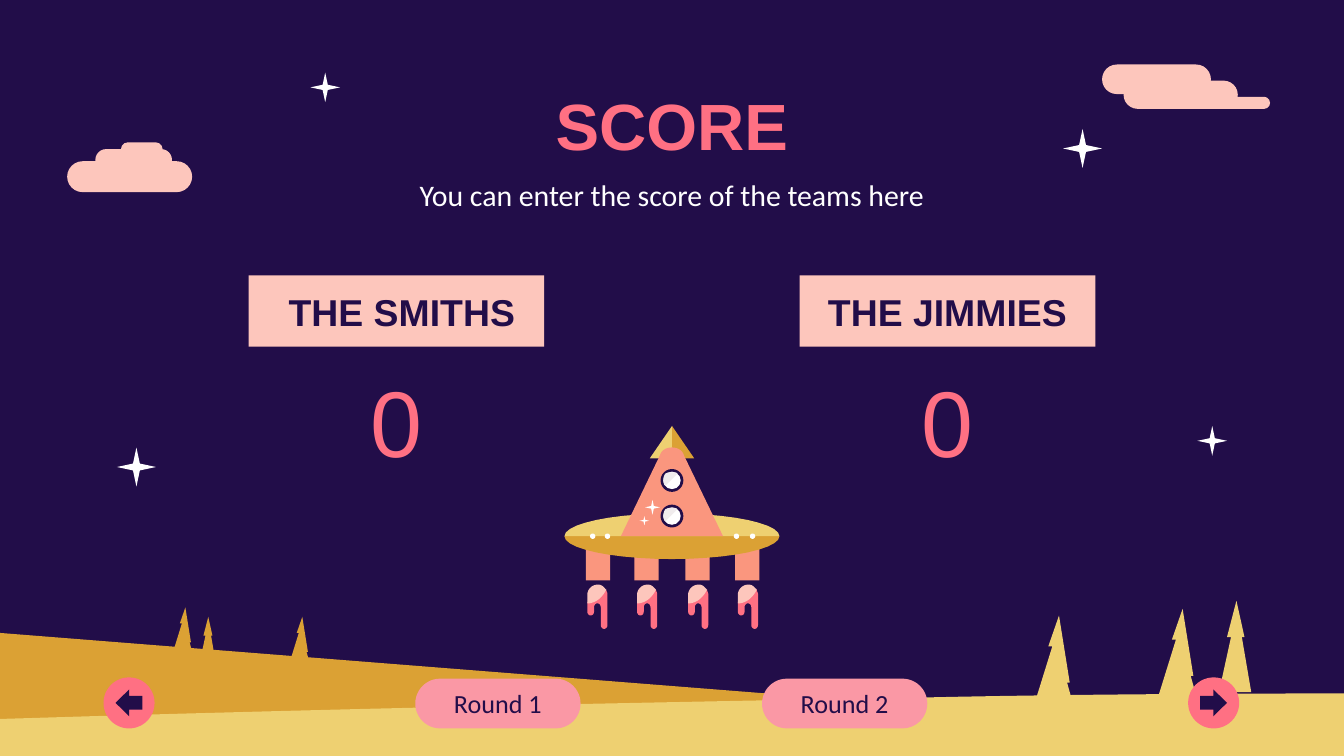
from dataclasses import dataclass

from pptx import Presentation
from pptx.dml.color import RGBColor
from pptx.enum.shapes import MSO_SHAPE
from pptx.enum.text import MSO_ANCHOR, MSO_AUTO_SIZE, PP_ALIGN
from pptx.util import Cm, Pt

RECT, OVAL, PILL = MSO_SHAPE.RECTANGLE, MSO_SHAPE.OVAL, MSO_SHAPE.ROUNDED_RECTANGLE
STAR = MSO_SHAPE.STAR_4_POINT
LEFT, RIGHT = MSO_SHAPE.LEFT_ARROW, MSO_SHAPE.RIGHT_ARROW
MIDDLE, CENTER = MSO_ANCHOR.MIDDLE, PP_ALIGN.CENTER

NIGHT, GOLD, SAND = "220D49", "DBA134", "EED071"
CORAL, PINK, PEACH, SALMON = "FF7083", "FA98A5", "FDC6BC", "FA967E"
WHITE, GLARE = "FFFFFF", "F0ECED"
W, H = 10, 5.625
CURVE_STEPS = 10


@dataclass
class Tree:
    x: float  # tip of the tree
    y: float
    outline: list
    scale: float
    color: str


@dataclass
class Team:
    name: str
    score: str
    x: float
    inset: float


def inch(v: float) -> int:
    return Cm(v * 2.54)


def rgb(color: str) -> RGBColor:
    return RGBColor.from_string(color)


def paint(sp, color: str):
    sp.fill.solid()
    sp.fill.fore_color.rgb = rgb(color)
    sp.line.fill.background()
    sp.shadow.inherit = False
    return sp


def add_shape(shapes, kind, x: float, y: float, w: float, h: float, color: str, adj=()):
    sp = paint(shapes.add_shape(kind, inch(x), inch(y), inch(w), inch(h)), color)
    for i, value in enumerate(adj):
        sp.adjustments[i] = value
    return sp


def add_outline(shapes, points: list, color: str, dx: float = 0, dy: float = 0,
                scale: float = 1):
    """Closed outline; a point of six numbers is a cubic curve."""
    line = [points[0]]
    for p in points[1:]:
        if len(p) == 2:
            line.append(p)
            continue
        x0, y0 = line[-1]
        x1, y1, x2, y2, x3, y3 = p
        for i in range(1, CURVE_STEPS + 1):
            t = i / CURVE_STEPS
            a, b, c, d = (1 - t) ** 3, 3 * t * (1 - t) ** 2, 3 * t * t * (1 - t), t ** 3
            line.append((a * x0 + b * x1 + c * x2 + d * x3,
                         a * y0 + b * y1 + c * y2 + d * y3))
    emu = [(inch(dx + x * scale), inch(dy + y * scale)) for x, y in line]
    builder = shapes.build_freeform(*emu[0], scale=1.0)
    builder.add_line_segments(emu[1:], close=True)
    return paint(builder.convert_to_shape(), color)


def set_text(sp, text: str, size: float, font: str, color: str, bold: bool = False,
             left_inset: float = 0.1) -> None:
    tf = sp.text_frame
    tf.text = text
    tf.word_wrap = True
    tf.auto_size = MSO_AUTO_SIZE.NONE
    tf.vertical_anchor = MIDDLE
    tf.margin_left = inch(left_inset)
    tf.margin_right = tf.margin_top = tf.margin_bottom = inch(0.1)
    p = tf.paragraphs[0]
    p.alignment = CENTER
    r = p.runs[0]
    r.font.size, r.font.name, r.font.bold = Pt(size), font, bold
    r.font.color.rgb = rgb(color)


def add_text(shapes, x: float, y: float, w: float, h: float, *style) -> None:
    set_text(shapes.add_textbox(inch(x), inch(y), inch(w), inch(h)), *style)


def add_ship(shapes) -> None:
    # Legs and flames
    for x in (4.36, 4.72, 5.1, 5.47):
        add_shape(shapes, RECT, x, 3.99, 0.18, 0.33, SALMON)
    flame = [(0.14, 0.03), (0.11, 0.09, 0.06, 0.13, 0, 0.13), (0, 0.2),
             (0, 0.24, 0.05, 0.24, 0.05, 0.2), (0.05, 0.17),
             (0.05, 0.13, 0.1, 0.13, 0.1, 0.17), (0.1, 0.3),
             (0.1, 0.34, 0.15, 0.34, 0.15, 0.3), (0.15, 0.07),
             (0.15, 0.06, 0.14, 0.05, 0.14, 0.03)]
    glow = [(0.08, 0), (0.04, 0, 0, 0.03, 0, 0.08), (0, 0.14),
            (0.06, 0.14, 0.11, 0.1, 0.14, 0.04), (0.12, 0.01, 0.1, 0, 0.08, 0)]
    for x in (4.37, 4.74, 5.12, 5.49):
        add_outline(shapes, flame, CORAL, x, 4.35)
        add_outline(shapes, glow, PEACH, x, 4.35)

    # Nose, saucer and cabin
    for side, color in ((-1, SAND), (1, GOLD)):
        add_outline(shapes, [(5, 3.17), (5 + side * 0.165, 3.41), (5, 3.41)], color)
    for bulge, color in ((0.17, GOLD), (-0.17, SAND)):
        add_outline(shapes, [(-0.8, 0), (-0.8, bulge * 0.55, -0.44, bulge, 0, bulge),
                             (0.44, bulge, 0.8, bulge * 0.55, 0.8, 0)], color, 5, 3.99)
    add_outline(shapes, [(5, 3.33), (4.96, 3.33, 4.92, 3.35, 4.91, 3.39), (4.62, 3.99),
                         (5.38, 3.99), (5.09, 3.39), (5.08, 3.35, 5.04, 3.33, 5, 3.33)],
                SALMON)

    # Lights, windows and sparkles
    for x in (4.39, 4.5, 5.46, 5.58):
        add_shape(shapes, OVAL, x, 3.97, 0.04, 0.04, WHITE)
    glare = [(0, -0.06), (-0.02, -0.06, -0.03, -0.06, -0.05, -0.05),
             (-0.07, -0.02, -0.07, 0.02, -0.05, 0.04), (0.04, -0.05),
             (0.03, -0.06, 0.02, -0.06, 0, -0.06)]
    for y in (3.84, 3.575):
        for size, color in ((0.17, NIGHT), (0.13, WHITE)):
            add_shape(shapes, OVAL, 5 - size / 2, y - size / 2, size, size, color)
        add_outline(shapes, glare, GLARE, 5, y)
    for x, y, size in ((4.8, 3.72, 0.11), (4.76, 3.84, 0.07)):
        add_shape(shapes, STAR, x, y, size, size, WHITE, [0.125])


def main() -> None:
    prs = Presentation()
    prs.slide_width, prs.slide_height = inch(W), inch(H)
    s = prs.slides.add_slide(prs.slide_layouts[5])
    s.background.fill.solid()
    s.background.fill.fore_color.rgb = rgb(NIGHT)
    shapes = s.shapes

    # Hills
    add_outline(shapes, [(0, 4.71), (W, 5.5), (W, H), (0, H)], GOLD)
    add_outline(shapes, [(W, 5.16), (8.83, 5.16, 7.8, 5.17, 6.87, 5.19),
                         (4.55, 5.23, 2.25, 5.28, 0, 5.35), (0, H), (W, H)], SAND)

    # Trees, drawn from the tip
    wide = [(0, 0), (0.08, 0.5), (0.06, 0.5), (0.11, 0.68), (-0.19, 0.68),
            (-0.05, 0.23), (-0.08, 0.23)]
    narrow = [(0, 0), (0.06, 0.27), (0.04, 0.27), (0.11, 0.68), (-0.13, 0.68),
              (-0.04, 0.27), (-0.07, 0.27)]
    for t in (Tree(8.8, 4.53, wide, 1, SAND), Tree(7.88, 4.58, wide, 1, SAND),
              Tree(9.2, 4.47, narrow, 1, SAND), Tree(1.38, 4.52, wide, 0.52, GOLD),
              Tree(2.25, 4.59, wide, 0.52, GOLD), Tree(1.55, 4.59, narrow, 0.52, GOLD)):
        add_outline(shapes, t.outline, t.color, t.x, t.y, t.scale)

    add_ship(shapes.add_group_shape().shapes)

    # Clouds and stars
    clouds = ([(8.2, 0.48, 0.81, 0.22), (8.36, 0.6, 0.85, 0.21), (8.6, 0.72, 0.85, 0.09)],
              [(0.9, 1.06, 0.31, 0.1), (0.71, 1.11, 0.57, 0.16), (0.5, 1.2, 0.93, 0.23)])
    for cloud in clouds:
        group = shapes.add_group_shape().shapes
        for puff in cloud:
            add_shape(group, PILL, *puff, PEACH, [0.5])
    for x, y, size in ((7.91, 0.96, 0.29), (2.31, 0.54, 0.22),
                       (0.87, 3.33, 0.29), (8.91, 3.17, 0.22)):
        add_shape(shapes, STAR, x, y, size, size, WHITE, [0.125])

    # Title and subtitle
    title = shapes.title
    title.left, title.top, title.width, title.height = map(inch, (2.7, 0.59, 4.6, 0.67))
    set_text(title, "SCORE", 35, "Arial", CORAL, True)
    add_text(shapes, 2.7, 1.26, 4.6, 0.37, "You can enter the score of the teams here",
             16, "Calibri", WHITE)

    # Teams and scores
    for team in (Team("THE SMITHS", "0", 1.85, 0.18), Team("THE JIMMIES", "0", 5.95, 0.1)):
        sp = add_shape(shapes, RECT, team.x, 2.05, 2.2, 0.53, PEACH)
        set_text(sp, team.name, 20, "Arial", NIGHT, True, team.inset)
        add_text(shapes, team.x, 2.67, 2.2, 0.91, team.score, 50, "Arial", CORAL)

    # Navigation
    for x, arrow in ((8.84, RIGHT), (0.77, LEFT)):
        group = shapes.add_group_shape().shapes
        add_shape(group, OVAL, x, 5.04, 0.38, 0.38, CORAL)
        add_shape(group, arrow, x + 0.09, 5.13, 0.2, 0.2, NIGHT, [0.51, 0.51])
    for x, label in ((3.09, "Round 1"), (5.67, "Round 2")):
        sp = add_shape(shapes, PILL, x, 5.05, 1.23, 0.37, PINK, [0.5])
        set_text(sp, label, 14, "Calibri", NIGHT)

    prs.save("out.pptx")


if __name__ == "__main__":
    main()
